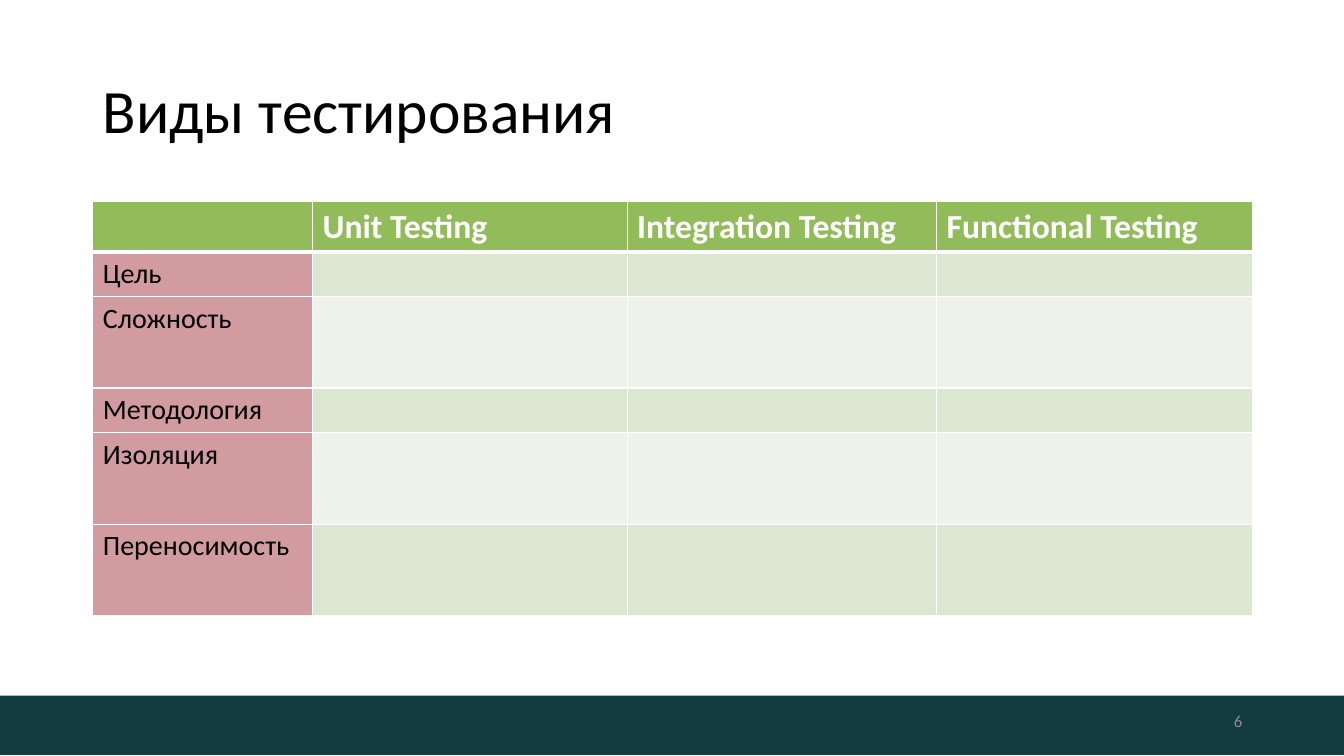
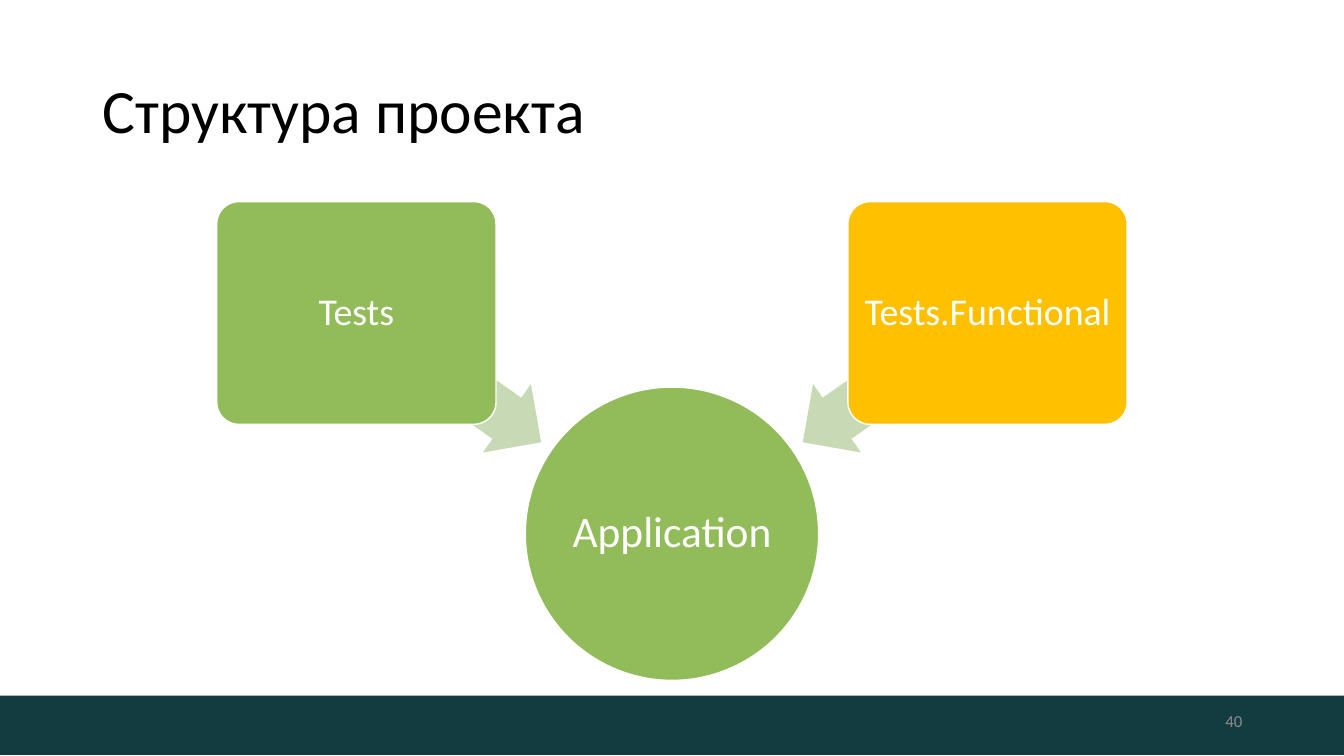
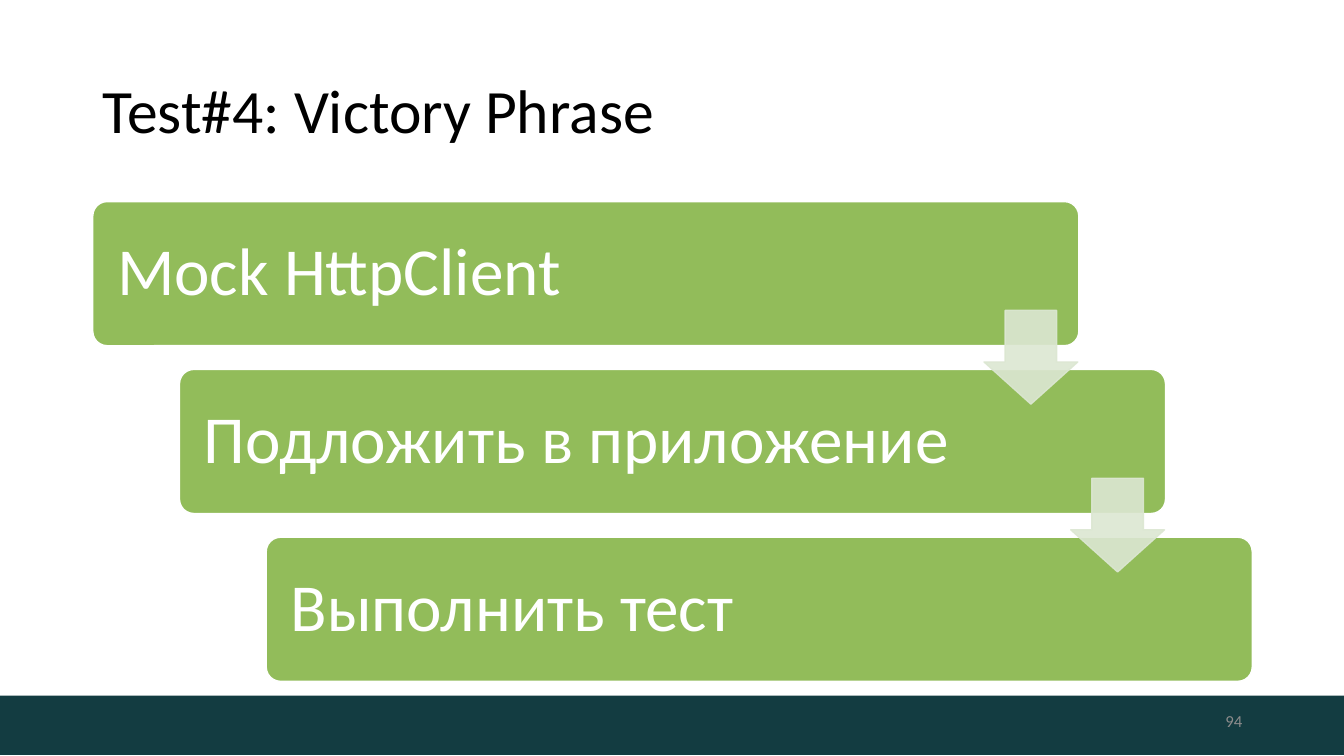
from dataclasses import dataclass

from lxml.etree import SubElement
from pptx import Presentation
from pptx.dml.color import RGBColor
from pptx.enum.shapes import MSO_SHAPE as Form
from pptx.enum.text import MSO_ANCHOR as Anchor, PP_ALIGN as Align
from pptx.oxml.ns import qn
from pptx.util import Inches, Pt


@dataclass(frozen=True)
class Theme:
    font: str = "Calibri"
    band: str = "133C41"
    green: str = "92BC5A"
    amber: str = "FFC000"
    pale_green: str = "C7DAB5"
    row_odd: str = "DCE7D2"
    row_even: str = "EEF3EA"
    rose: str = "D19BA0"
    white: str = "FFFFFF"
    black: str = "000000"
    grey: str = "8C8C8C"
    title_size: int = 44
    step_size: int = 48
    hub_size: int = 31
    box_size: int = 27
    header_size: int = 24
    cell_size: int = 20
    number_size: int = 12


WIDTH, HEIGHT = 13.33, 7.5
LEFT, TOP, CONTENT_WIDTH = 0.92, 2, 11.5


class Deck:
    def __init__(self, theme):
        self.theme = theme
        self.prs = Presentation()
        self.prs.slide_width = Inches(WIDTH)
        self.prs.slide_height = Inches(HEIGHT)
        self.slide = None

    def new_slide(self, title, number):
        t = self.theme
        self.slide = self.prs.slides.add_slide(self.prs.slide_layouts[6])
        self.shape(Form.RECTANGLE, (0, 6.9, WIDTH, 0.59), t.band)
        self.text_box((LEFT, 0.4, CONTENT_WIDTH, 1.45), title, t.title_size, t.black, spacing=0.9)
        self.text_box((9.42, 6.95, 3, 0.4), str(number), t.number_size, t.grey, Align.RIGHT)

    def add_text(self, frame, text, size, color, align=Align.LEFT, bold=False, spacing=None):
        paragraph = frame.paragraphs[0]
        paragraph.alignment = align
        if spacing:
            paragraph.line_spacing = spacing
        run = paragraph.add_run()
        run.text = text
        font = run.font
        font.name, font.size, font.bold = self.theme.font, Pt(size), bold
        font.color.rgb = RGBColor.from_string(color)

    def text_box(self, area, text, size, color, align=Align.LEFT, spacing=None):
        frame = self.slide.shapes.add_textbox(*map(Inches, area)).text_frame
        frame.word_wrap = True
        frame.vertical_anchor = Anchor.MIDDLE
        self.add_text(frame, text, size, color, align, spacing=spacing)

    def shape(self, form, area, fill, line=None, adjustments=(), rotation=0, opacity=None):
        figure = self.slide.shapes.add_shape(form, *map(Inches, area))
        figure.shadow.inherit = False
        figure.rotation = rotation
        for index, value in enumerate(adjustments):
            figure.adjustments[index] = value
        figure.fill.solid()
        figure.fill.fore_color.rgb = RGBColor.from_string(fill)
        if line:
            figure.line.width = Pt(1)
            figure.line.color.rgb = RGBColor.from_string(line)
        else:
            figure.line.fill.background()
        if opacity is not None:
            for color in figure.element.spPr.iter(qn("a:srgbClr")):
                SubElement(color, qn("a:alpha"), val=str(opacity * 1000))
        return figure

    def node(self, form, area, fill, text, size, inset, align=Align.CENTER):
        """Draw a white-edged shape with its label inside."""
        adjustments = (0.1,) if form == Form.ROUNDED_RECTANGLE else ()
        frame = self.shape(form, area, fill, self.theme.white, adjustments).text_frame
        frame.word_wrap = True
        frame.vertical_anchor = Anchor.MIDDLE
        frame.margin_left = frame.margin_right = Inches(inset)
        frame.margin_top = frame.margin_bottom = Inches(inset)
        self.add_text(frame, text, size, self.theme.white, align, spacing=0.9)

    def cell_borders(self, cell, **widths):
        properties = cell._tc.get_or_add_tcPr()
        for side in "LRTB":
            edge = SubElement(properties, qn(f"a:ln{side}"), w=str(Pt(widths.get(side, 1))))
            fill = SubElement(edge, qn("a:solidFill"))
            SubElement(fill, qn("a:srgbClr"), val=self.theme.white)

    def table(self, headers, labels, widths, heights):
        """Draw a grid with a header row and a label column; the rest stays empty."""
        t = self.theme
        area = (LEFT, TOP, sum(widths), sum(heights))
        grid = self.slide.shapes.add_table(
            len(heights), len(widths), *map(Inches, area)).table
        grid.first_row = grid.horz_banding = False
        for column, width in zip(grid.columns, widths):
            column.width = Inches(width)
        for r, height in enumerate(heights):
            grid.rows[r].height = Inches(height)
            for c in range(len(widths)):
                cell = grid.cell(r, c)
                self.cell_borders(cell, B=3 if r == 0 else 1, T=3 if r == 1 else 1)
                if r == 0:
                    fill = t.green
                elif c == 0:
                    fill = t.rose
                else:
                    fill = t.row_odd if r % 2 else t.row_even
                cell.fill.solid()
                cell.fill.fore_color.rgb = RGBColor.from_string(fill)
        for c, header in enumerate(headers, 1):
            self.add_text(grid.cell(0, c).text_frame, header, t.header_size, t.white, bold=True)
        for r, label in enumerate(labels, 1):
            self.add_text(grid.cell(r, 0).text_frame, label, t.cell_size, t.black)


def testing_kinds(deck):
    deck.new_slide("Виды тестирования", 6)
    deck.table(
        ("Unit Testing", "Integration Testing", "Functional Testing"),
        ("Цель", "Сложность", "Методология", "Изоляция", "Переносимость"),
        widths=(2.18, 3.12, 3.07, 3.13),
        heights=(0.5, 0.44, 0.91, 0.44, 0.91, 0.91),
    )


def project_structure(deck):
    t = deck.theme
    deck.new_slide("Структура проекта", 40)
    hub, box_width, arrow_width = 2.91, 2.77, 2.24
    deck.node(Form.OVAL, ((WIDTH - hub) / 2, 3.84, hub, hub), t.green,
              "Application", t.hub_size, 0.02)
    projects = (
        ("Tests", t.green, 2.15, 3.33, 215),
        ("Tests.Functional", t.amber, WIDTH - 2.15 - box_width,
         WIDTH - 3.33 - arrow_width, 325),
    )
    for name, fill, box_left, arrow_left, angle in projects:
        deck.shape(Form.LEFT_ARROW, (arrow_left, 3.33, arrow_width, 0.83), t.pale_green,
                   adjustments=(0.6, 0.5), rotation=angle)
        deck.node(Form.ROUNDED_RECTANGLE, (box_left, TOP, box_width, 2.21), fill,
                  name, t.box_size, 0.06)


def victory_phrase(deck):
    t = deck.theme
    deck.new_slide("Test#4: Victory Phrase", 94)
    steps = ("Mock HttpClient", "Подложить в приложение", "Выполнить тест")
    width, height, bottom = 9.78, 1.43, 6.76
    gaps = len(steps) - 1
    shift = (CONTENT_WIDTH - width) / gaps
    drop = (bottom - TOP - height) / gaps
    corners = [(LEFT + i * shift, TOP + i * drop) for i in range(len(steps))]
    for step, (left, top) in zip(steps, corners):
        deck.node(Form.ROUNDED_RECTANGLE, (left, top, width, height), t.green,
                  step, t.step_size, 0.2, Align.LEFT)
    for left, top in corners[:-1]:
        deck.shape(Form.DOWN_ARROW, (left + 8.84, top + 1.08, 0.93, 0.93), t.row_odd,
                   t.row_odd, (0.55, 0.45), opacity=90)


def main():
    deck = Deck(Theme())
    testing_kinds(deck)
    project_structure(deck)
    victory_phrase(deck)
    deck.prs.save("out.pptx")


if __name__ == "__main__":
    main()
